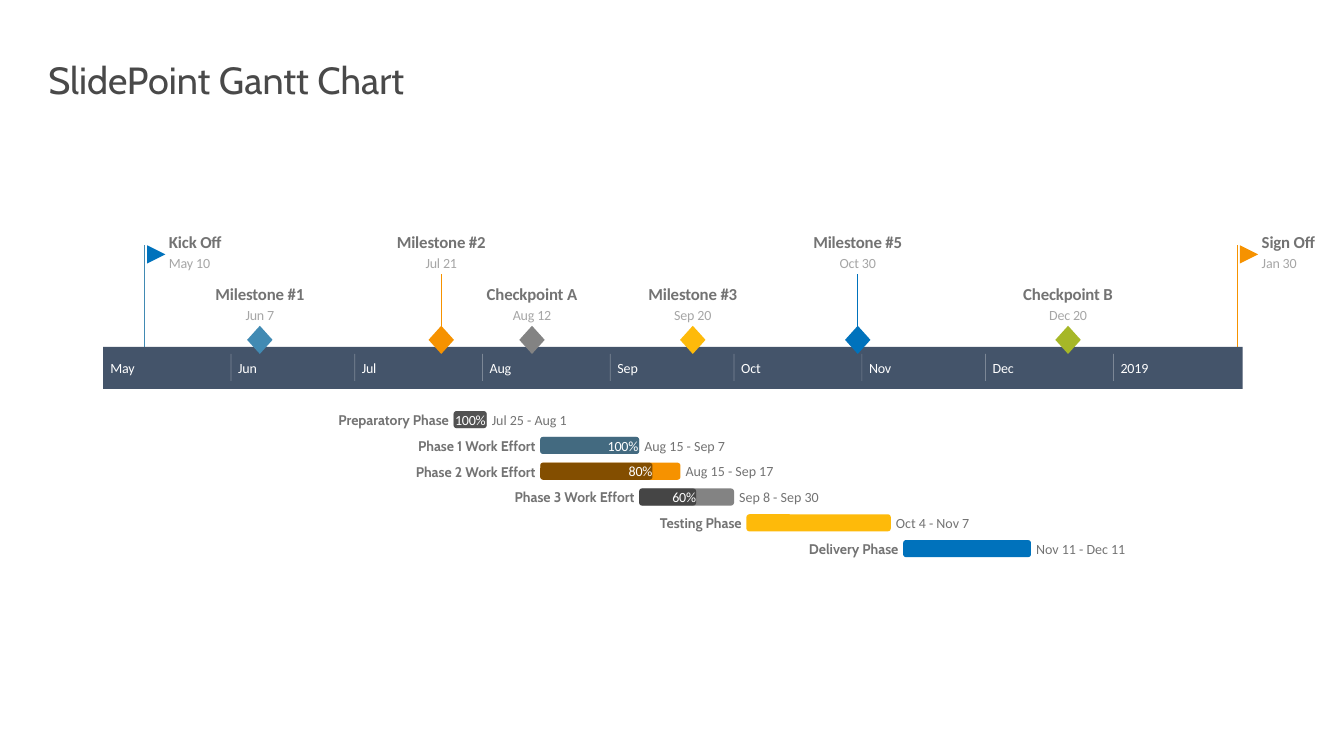
import pptx
import pptx.dml.color
import pptx.enum.shapes
import pptx.enum.text
import pptx.oxml
import pptx.util
import lxml.etree

Cm = pptx.util.Cm
SHAPE = pptx.enum.shapes.MSO_SHAPE
ALIGN = pptx.enum.text.PP_ALIGN
ANCHOR = pptx.enum.text.MSO_ANCHOR
A = "http://schemas.openxmlformats.org/drawingml/2006/main"

MONTHS = {"May": 31, "Jun": 30, "Jul": 31, "Aug": 31, "Sep": 30,
          "Oct": 31, "Nov": 30, "Dec": 31, "Jan": 31}
DAY = 25.46 / 245
BAND = (2.6, 8.74, 28.72, 1.06)
MILESTONES = (2.6, 5.85, 28.72, 3.07)
PHASES = (2.6, 10.36, 28.72, 3.68)
TITLE = (0.97, 0.74, 13.64, 1.96)

FLAGS = [("Kick Off", "May 10", "0072BC", "418AB3"),
         ("Sign Off", "Jan 30", "F69200", "F69200")]
DIAMONDS = [("Milestone #1", "Jun 7", "418AB3", False),
            ("Milestone #2", "Jul 21", "F69200", True),
            ("Checkpoint A", "Aug 12", "838383", False),
            ("Milestone #3", "Sep 20", "FEBA0A", False),
            ("Milestone #5", "Oct 30", "0072BC", True),
            ("Checkpoint B", "Dec 20", "A6B727", False)]
WORK = [("Preparatory Phase", "Jul 25", "Aug 1", "5E5E5E", 100, "5E5E5E"),
        ("Phase 1 Work Effort", "Aug 15", "Sep 7", "418AB3", 100, "5E5E5E"),
        ("Phase 2 Work Effort", "Aug 15", "Sep 17", "F69200", 80, "000000"),
        ("Phase 3 Work Effort", "Sep 8", "Sep 30", "838383", 60, "000000"),
        ("Testing Phase", "Oct 4", "Nov 7", "FEBA0A", 0, None),
        ("Delivery Phase", "Nov 11", "Dec 11", "0072BC", 0, None)]


def color(hex_code):
    """Turn a hex string into a colour."""
    return pptx.dml.color.RGBColor.from_string(hex_code)


def day_end(left, date):
    """Return where a date such as 'Jun 7' ends on the time scale."""
    month, day = date.split()
    names = list(MONTHS)
    before = sum(MONTHS[n] for n in names[:names.index(month)])
    return left + (before + int(day)) * DAY


def set_alpha(parent, percent):
    """Set the opacity of the colour inside an element."""
    clr = next(parent.iter("{%s}srgbClr" % A))
    lxml.etree.SubElement(clr, "{%s}alpha" % A, val=str(percent * 1000))


def add_text(s, box, text, size, fill, font="Calibri", bold=False,
             align=ALIGN.LEFT, spacing=0, wrap=False):
    """Add one line of text without margins."""
    sp = s.shapes.add_textbox(*map(Cm, box))
    tf = sp.text_frame
    tf.margin_left = tf.margin_right = tf.margin_top = tf.margin_bottom = 0
    tf.word_wrap = wrap
    tf.vertical_anchor = ANCHOR.MIDDLE
    p = tf.paragraphs[0]
    p.alignment = align
    r = p.add_run()
    r.text = text
    r.font.name, r.font.size, r.font.bold = font, pptx.util.Pt(size), bold
    r.font.color.rgb = color(fill)
    if spacing:
        r._r.get_or_add_rPr().set("spc", str(spacing))
    return tf


def add_block(s, kind, box, fill):
    """Add a plain filled shape."""
    sp = s.shapes.add_shape(kind, *map(Cm, box))
    sp.shadow.inherit = False
    sp.fill.solid()
    sp.fill.fore_color.rgb = color(fill)
    sp.line.fill.background()
    return sp


def add_vertical(s, x, top, bottom, fill, width=0.75, opacity=100):
    """Add a vertical line."""
    line = s.shapes.add_connector(pptx.enum.shapes.MSO_CONNECTOR.STRAIGHT,
                                  Cm(x), Cm(top), Cm(x), Cm(bottom))
    line.line.color.rgb = color(fill)
    line.line.width = pptx.util.Pt(width)
    props = line._element.spPr
    lxml.etree.SubElement(props, "{%s}effectLst" % A)
    if opacity < 100:
        set_alpha(props, opacity)


def add_stems(s, box):
    """Draw the flag poles and the stems of the raised milestones."""
    left, top, width, height = box
    for name, date, fill, pole in FLAGS:
        add_vertical(s, day_end(left, date), top + 0.33, top + 2.9, pole)
    for name, date, fill, raised in DIAMONDS:
        if raised:
            add_vertical(s, day_end(left, date), top + 1.06, top + 2.72, fill)


def add_band(s, box):
    """Draw the band of months with its separators."""
    left, top, width, height = box
    add_block(s, SHAPE.RECTANGLE, box, "44546A")
    for month in MONTHS:
        x = day_end(left, month + " 0")
        if month != "May":
            add_vertical(s, x, top + 0.18, top + 0.86, "FFFFFF", 0.5, 30)
        label = "2019" if month == "Jan" else month
        add_text(s, (x + 0.18, top + 0.31, 0.27 * len(label), 0.43), label,
                 10, "FFFFFF", spacing=-10)


def add_caption(s, x, top, name, date, align):
    """Add a name over its date, starting at x or centred on it."""
    rows = [(name, 0, 0.22, 0.51, 12, "737373", True),
            (date, 0.56, 0.22, 0.43, 10, "A6A6A6", False)]
    for text, drop, per_char, height, size, fill, bold in rows:
        width = per_char * len(text)
        start = x - width / 2 if align == ALIGN.CENTER else x
        add_text(s, (start, top + drop, width, height), text, size, fill,
                 bold=bold, align=align, spacing=-10)


def add_milestones(s, box):
    """Draw flags and diamonds with their captions."""
    left, top, width, height = box
    for name, date, fill, pole in FLAGS:
        x = day_end(left, date)
        add_caption(s, x + 0.62, top, name, date, ALIGN.LEFT)
        flag = add_block(s, SHAPE.FLOWCHART_MERGE,
                         (x + 0.07, top + 0.33, 0.46, 0.46), fill)
        flag.rotation = 270
    for name, date, fill, raised in DIAMONDS:
        x = day_end(left, date)
        add_caption(s, x, top if raised else top + 1.3, name, date, ALIGN.CENTER)
        add_block(s, SHAPE.DIAMOND, (x - 0.32, top + 2.36, 0.64, 0.71), fill)


def add_progress(s, box, done, fill):
    """Shade the finished part of a bar and write its percentage."""
    left, top, width, height = box
    sp = add_block(s, SHAPE.ROUNDED_RECTANGLE, box, fill)
    set_alpha(sp._element.spPr, 35)
    effects = sp._element.spPr.find("{%s}effectLst" % A)
    effects.append(pptx.oxml.parse_xml(
        '<a:outerShdw xmlns:a="%s" blurRad="0" dist="0" dir="0">'
        '<a:srgbClr val="000000"><a:alpha val="50000"/></a:srgbClr>'
        '</a:outerShdw>' % A))
    text = f"{done}%"
    label = 0.22 * len(text)
    add_text(s, (left + width - label + 0.03, top, label, height), text, 10,
             "FFFFFF", align=ALIGN.CENTER, spacing=-10)


def add_phases(s, box):
    """Draw one bar per phase with its name and dates."""
    left, top, width, height = box
    bar = 0.43
    pitch = (height - bar) / (len(WORK) - 1)
    for i, (name, start, end, fill, done, shade) in enumerate(WORK):
        y = top + i * pitch
        x = day_end(left, start) - DAY
        length = day_end(left, end) - x
        add_block(s, SHAPE.ROUNDED_RECTANGLE, (x, y, length, bar), fill)
        label = 0.2 * len(name)
        add_text(s, (x - 0.12 - label, y - 0.01, label, 0.46), name, 10, "737373",
                 font="Cabin", bold=True, align=ALIGN.RIGHT)
        dates = f"{start} - {end}"
        add_text(s, (x + length + 0.13, y, 0.17 * len(dates), bar), dates,
                 10, "737373")
        if done:
            add_progress(s, (x, y, length * done / 100, bar), done, shade)


def add_title(s, box):
    """Write the slide title at the bottom of its box."""
    tf = add_text(s, box, "SlidePoint Gantt Chart", 27, "494949", font="Cabin",
                  wrap=True)
    tf.margin_left = tf.margin_right = Cm(0.25)
    tf.margin_top = tf.margin_bottom = Cm(0.13)
    tf.vertical_anchor = ANCHOR.BOTTOM


def main():
    """Build the slide and save it."""
    prs = pptx.Presentation()
    prs.slide_width, prs.slide_height = Cm(33.87), Cm(19.05)
    s = prs.slides.add_slide(prs.slide_layouts[6])
    add_stems(s, MILESTONES)
    add_band(s, BAND)
    add_milestones(s, MILESTONES)
    add_phases(s, PHASES)
    add_title(s, TITLE)
    prs.save("out.pptx")


if __name__ == "__main__":
    main()
